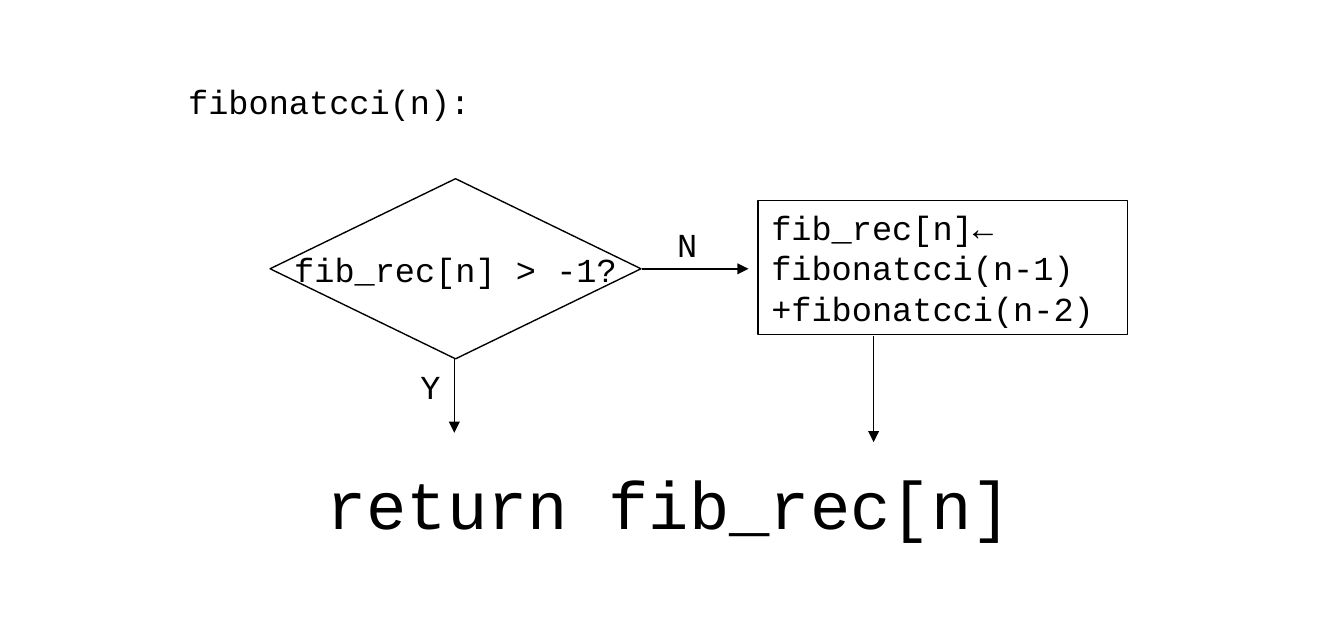
from dataclasses import dataclass
from typing import NamedTuple

from lxml.etree import SubElement
from pptx import Presentation
from pptx.dml.color import RGBColor
from pptx.enum.shapes import MSO_CONNECTOR as Connector, MSO_SHAPE as Preset
from pptx.enum.text import MSO_ANCHOR as Anchor, MSO_AUTO_SIZE as AutoSize, PP_ALIGN as Align
from pptx.oxml.ns import qn
from pptx.util import Cm, Pt


@dataclass(frozen=True)
class Theme:
    font: str = "Courier New"
    ink: RGBColor = RGBColor(0, 0, 0)
    code_size: int = 18
    result_size: int = 36
    line_width: float = 0.75


class Area(NamedTuple):
    """A place on the grid, in columns and rows."""
    column: float
    row: float
    columns: float
    rows: float


class Label(NamedTuple):
    text: str
    area: Area
    size: int


class Step(NamedTuple):
    text: str
    area: Area
    preset: Preset
    format: dict


class Arrow(NamedTuple):
    start: tuple[float, float]
    end: tuple[float, float]


THEME = Theme()
GRID_COLUMNS = 100
SLIDE_WIDTH, SLIDE_HEIGHT = Cm(25.4), Cm(12)
CELL = SLIDE_WIDTH / GRID_COLUMNS  # square cells

HEADING = Label("fibonatcci(n):", Area(13, 5.5, 23, 4), THEME.code_size)
STEPS = [
    Step("fib_rec[n] > -1?", Area(20.1, 13.3, 27.6, 13.4), Preset.FLOWCHART_DECISION,
         dict(align=Align.CENTER, anchor=Anchor.MIDDLE, fit=AutoSize.NONE)),
    Step("fib_rec[n]←\nfibonatcci(n-1)\n+fibonatcci(n-2)", Area(56.4, 14.9, 27.5, 10),
         Preset.RECTANGLE, {}),
]
ARROWS = [
    Arrow((47.8, 20), (55.7, 20)),
    Arrow((33.8, 26.6), (33.8, 32.2)),
    Arrow((65, 25), (65, 32.9)),
]
LABELS = [
    Label("return fib_rec[n]", Area(23.3, 33.9, 53, 7), THEME.result_size),
    Label("N", Area(49.4, 16.2, 3.5, 4), THEME.code_size),
    Label("Y", Area(30.3, 26.7, 3.5, 4), THEME.code_size),
]


def on_grid(cells) -> list[int]:
    return [round(cell * CELL) for cell in cells]


def write(shape, text: str, *, size: int = THEME.code_size, align=Align.LEFT,
          anchor=Anchor.TOP, fit=AutoSize.SHAPE_TO_FIT_TEXT, wrap: bool = False) -> None:
    frame = shape.text_frame
    frame.text = text
    frame.word_wrap = wrap
    frame.auto_size = fit
    frame.vertical_anchor = anchor
    for paragraph in frame.paragraphs:
        paragraph.alignment = align
        font = paragraph.font
        font.name, font.size = THEME.font, Pt(size)
        font.color.rgb = THEME.ink


def outline(shape) -> None:
    shape.line.color.rgb = THEME.ink
    shape.line.width = Pt(THEME.line_width)


def draw_heading(slide, heading: Label) -> None:
    title = slide.shapes.title
    title.left, title.top, title.width, title.height = on_grid(heading.area)
    # A little past the text box width, so that the line stays whole
    write(title, heading.text, size=heading.size, fit=AutoSize.NONE, wrap=True)
    title.text_frame.margin_right = 0


def draw_step(slide, step: Step) -> None:
    shape = slide.shapes.add_shape(step.preset, *on_grid(step.area))
    shape.shadow.inherit = False
    shape.fill.background()
    outline(shape)
    write(shape, step.text, **step.format)


def draw_arrow(slide, arrow: Arrow) -> None:
    connector = slide.shapes.add_connector(
        Connector.STRAIGHT, *on_grid(arrow.start), *on_grid(arrow.end))
    outline(connector)
    SubElement(connector.line._get_or_add_ln(), qn("a:tailEnd"), type="triangle")
    SubElement(connector._element.spPr, qn("a:effectLst"))


def draw_label(slide, label: Label) -> None:
    write(slide.shapes.add_textbox(*on_grid(label.area)), label.text, size=label.size)


def main() -> None:
    deck = Presentation()
    deck.slide_width, deck.slide_height = SLIDE_WIDTH, SLIDE_HEIGHT
    title_only = deck.slide_layouts[5]
    slide = deck.slides.add_slide(title_only)
    draw_heading(slide, HEADING)
    for step in STEPS:
        draw_step(slide, step)
    for arrow in ARROWS:
        draw_arrow(slide, arrow)
    for label in LABELS:
        draw_label(slide, label)
    deck.save("out.pptx")


if __name__ == "__main__":
    main()
